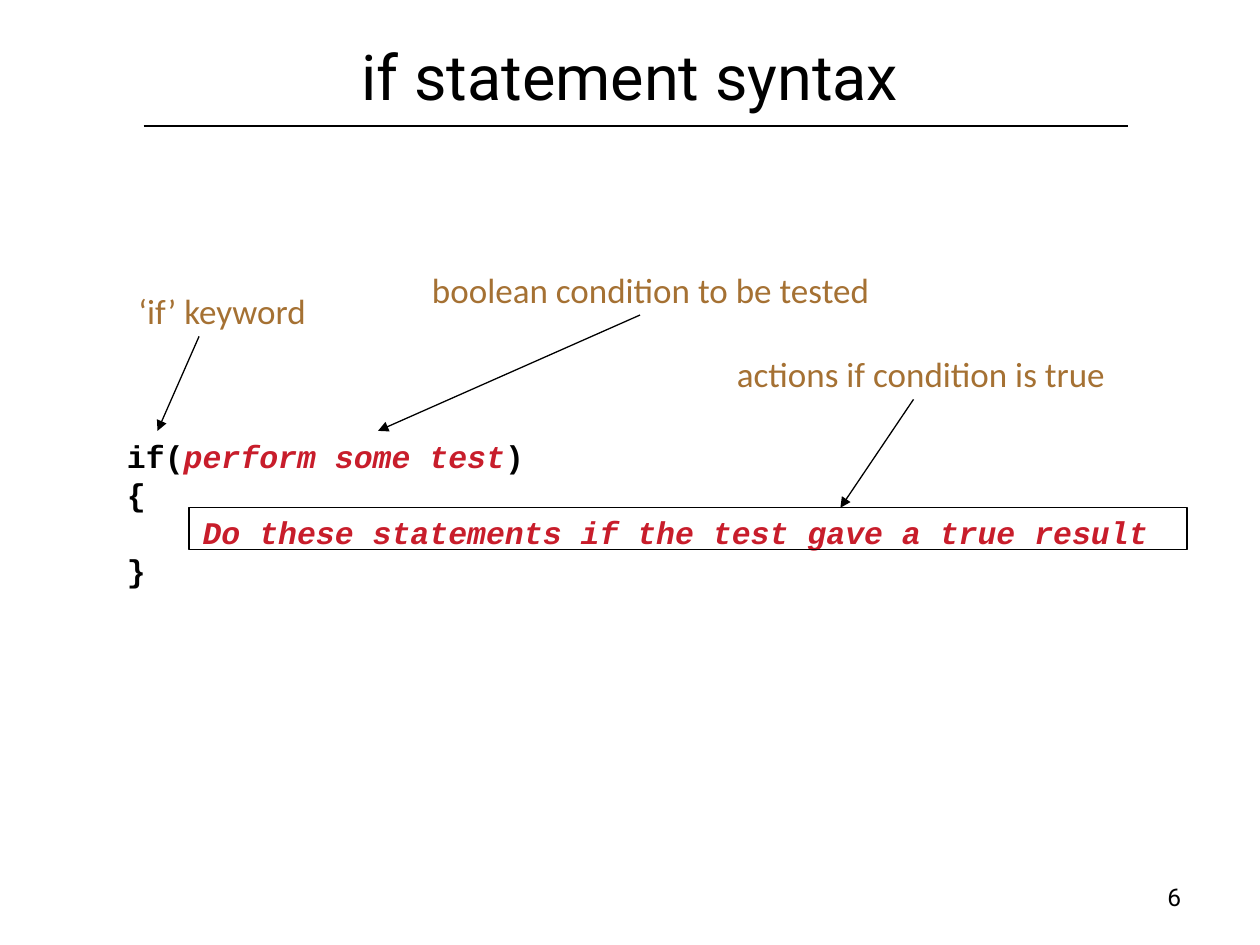
import pptx
import pptx.dml.color
import pptx.enum.shapes
import pptx.enum.text
import pptx.util
from lxml import etree
from pptx.oxml.ns import qn
from pptx.util import Inches

COLORS = {"ink": "000000", "placeholder": "C81D2B", "label": "A57133"}
ALIGN = pptx.enum.text.PP_ALIGN
ANCHOR = pptx.enum.text.MSO_ANCHOR


def rgb(name):
    return pptx.dml.color.RGBColor.from_string(COLORS[name])


def add_text(slide, box, lines, font, size, color="ink", bold=False,
             align=ALIGN.LEFT, anchor=ANCHOR.TOP, wrap=False, inset=None):
    """Each line is a list of (text, is_placeholder) runs; placeholders are red italics."""
    frame = slide.shapes.add_textbox(*map(Inches, box)).text_frame
    frame.word_wrap = wrap
    frame.vertical_anchor = anchor
    if inset is not None:
        frame.margin_left = frame.margin_right = Inches(inset)
        frame.margin_top = frame.margin_bottom = Inches(inset)
    for index, line in enumerate(lines):
        paragraph = frame.add_paragraph() if index else frame.paragraphs[0]
        paragraph.alignment = align
        for text, is_placeholder in line:
            run = paragraph.add_run()
            run.text = text
            run.font.name = font
            run.font.size = pptx.util.Pt(size)
            run.font.bold = bold
            run.font.italic = is_placeholder
            run.font.color.rgb = rgb("placeholder" if is_placeholder else color)


def add_line(slide, start, end, arrow=False):
    connector = slide.shapes.add_connector(
        pptx.enum.shapes.MSO_CONNECTOR.STRAIGHT, *map(Inches, start + end))
    connector.line.color.rgb = rgb("ink")
    connector.line.width = pptx.util.Pt(0.75)
    properties = connector.line._get_or_add_ln()
    if arrow:
        etree.SubElement(properties, qn("a:tailEnd"), type="triangle")
    etree.SubElement(properties.getparent(), qn("a:effectLst"))


def add_outline(slide, box):
    outline = slide.shapes.add_shape(
        pptx.enum.shapes.MSO_SHAPE.RECTANGLE, *map(Inches, box))
    outline.shadow.inherit = False
    outline.fill.background()
    outline.line.color.rgb = rgb("ink")
    outline.line.width = pptx.util.Pt(0.75)


def main():
    deck = pptx.Presentation()
    deck.slide_width, deck.slide_height = Inches(10), Inches(7.5)
    slide = deck.slides.add_slide(deck.slide_layouts[6])

    add_line(slide, (1.14, 1), (8.95, 1))
    add_text(slide, (0.5, 0, 9, 1.19), [[("if statement syntax", False)]],
             "Roboto", 36, align=ALIGN.CENTER, anchor=ANCHOR.MIDDLE,
             wrap=True, inset=0.06)

    code = [
        [("if(", False), ("perform some test", True), (")", False)],
        [("{", False)],
        [("    ", False),
         ("Do these statements if the test gave a true result", True)],
        [("}", False)],
    ]
    add_text(slide, (0.91, 3.42, 8.34, 1.31), code, "Courier New", 18, bold=True)

    callouts = [
        ("‘if’ keyword", (1, 2.25, 1.54, 0.44), False, (1.58, 2.67), (1.25, 3.42)),
        ("boolean condition to be tested", (3.33, 2.08, 4.17, 0.44), True,
         (5.08, 2.5), (3, 3.42)),
        ("actions if condition is true", (5.75, 2.75, 3.16, 0.44), False,
         (7.25, 3.17), (6.67, 4.03)),
    ]
    for label, box, wrap, start, end in callouts:
        add_text(slide, box, [[(label, False)]], "Calibri", 20, "label", wrap=wrap)
        add_line(slide, start, end, arrow=True)

    add_outline(slide, (1.5, 4.03, 7.92, 0.33))
    add_text(slide, (9.15, 6.94, 0.34, 0.34), [[("6", False)]], "Roboto", 14,
             align=ALIGN.CENTER, inset=0.06)
    deck.save("out.pptx")


if __name__ == "__main__":
    main()
